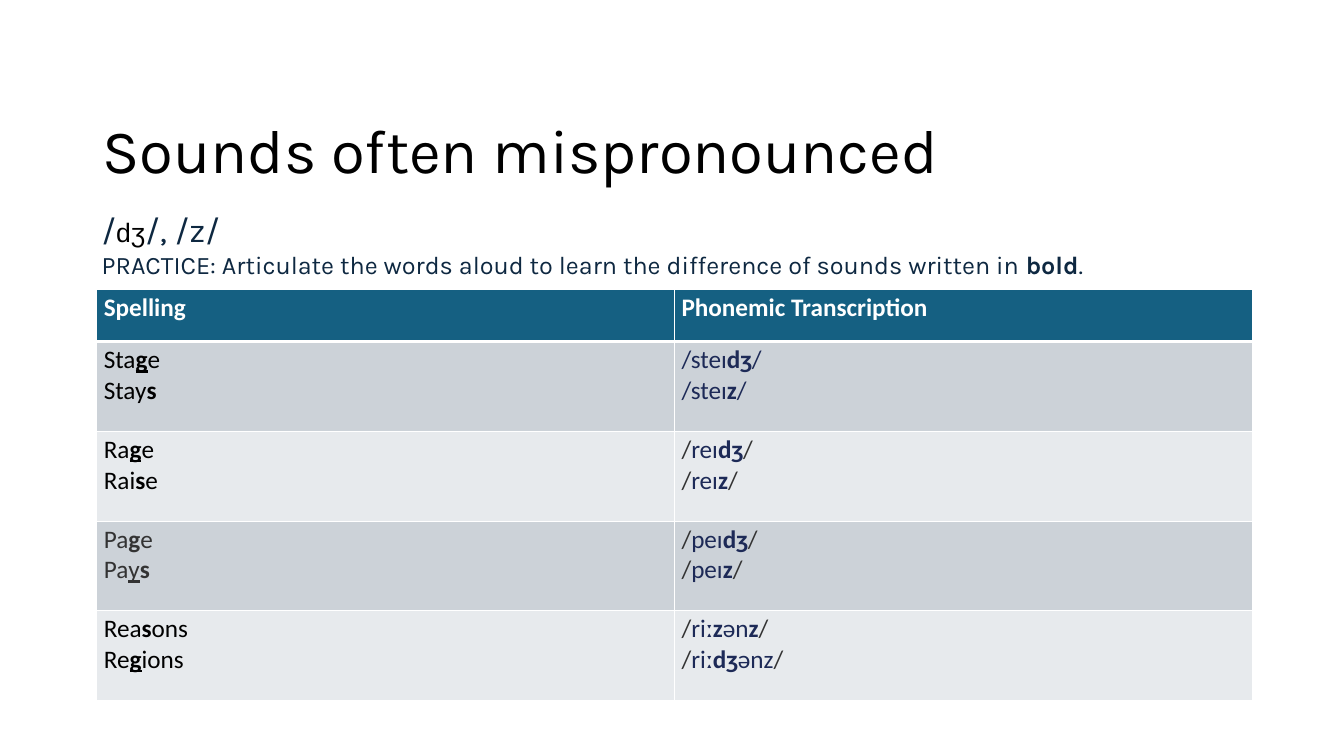
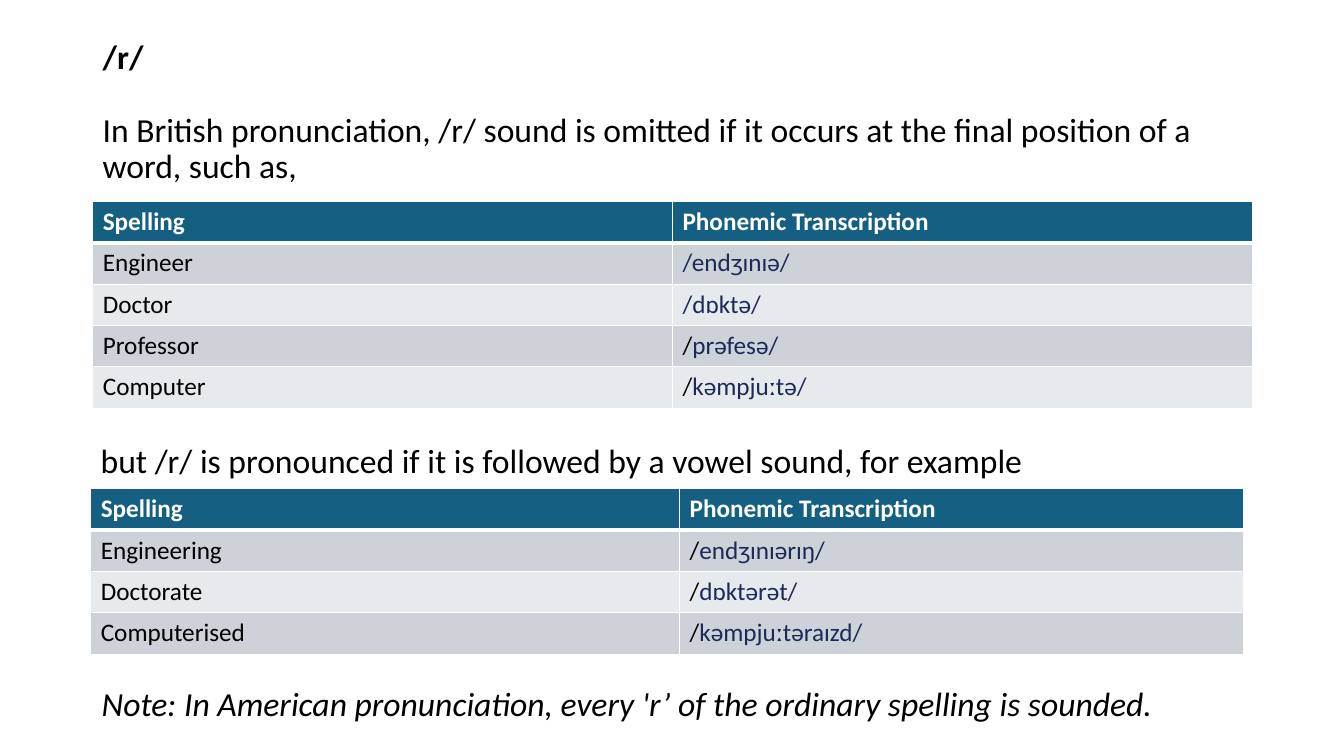
from dataclasses import dataclass, replace
from itertools import groupby

from lxml import etree
from pptx import Presentation
from pptx import util as u
from pptx.dml.color import RGBColor
from pptx.enum import text as t
from pptx.oxml.ns import qn


@dataclass(frozen=True)
class Ink:
    color: str
    size: int = 18
    font: str = "Calibri"


class Theme:
    white = "FFFFFF"
    head = "156082"
    bands = ("CCD2D8", "E7EAED")
    title = Ink("000000", 44, "Karla")
    lead = Ink("000000", 24)
    sound = Ink("0E2841", 24, "Karla")
    hint = replace(sound, size=18)
    phone = Ink("000000", 19, "Arial")
    label = Ink(white)
    word = Ink("000000")
    gray = Ink("333333")
    navy = Ink("1D2A57")


class Deck:
    def __init__(self):
        self.prs = Presentation()
        self.prs.slide_width = u.Inches(13.33)
        self.prs.slide_height = u.Inches(7.5)

    def page(self):
        self.slide = self.prs.slides.add_slide(self.prs.slide_layouts[6])

    def runs(self, para, text, ink, alt=None, italic=False):
        """Add runs; * toggles bold, _ underline, ~ the alternate ink."""
        on = {"*": False, "_": False, "~": False}
        for marks, group in groupby(text, lambda c: c in on):
            if marks:
                for mark in group:
                    on[mark] = not on[mark]
                continue
            run = para.add_run()
            run.text = "".join(group)
            look = alt if on["~"] else ink
            font = run.font
            font.name, font.size = look.font, u.Pt(look.size)
            font.color.rgb = RGBColor.from_string(look.color)
            font.bold, font.underline, font.italic = on["*"], on["_"], italic

    def text(self, box, lines, middle=False, spacing=1.0, gap=0):
        """Each line holds the arguments of runs; gap follows the first."""
        shape = self.slide.shapes.add_textbox(*map(u.Inches, box))
        frame = shape.text_frame
        frame.word_wrap = True
        if middle:
            frame.vertical_anchor = t.MSO_ANCHOR.MIDDLE
        for i, line in enumerate(lines):
            para = frame.add_paragraph() if i else frame.paragraphs[0]
            para.line_spacing = spacing
            para.space_after = u.Pt(0 if i else gap)
            self.runs(para, *line)

    def title(self, top, lines, gap=0):
        self.text((0.92, top, 11.5, 1.45), lines, True, 0.9, gap)

    def table(self, spot, cols, heights, rows, rules=(1, 3), pads=(0.1, 0.05)):
        """Rows hold pairs of (markup, ink); a header row is put on top."""
        head = [("*" + name, Theme.label)
                for name in ("Spelling", "Phonemic Transcription")]
        rows = [head] + rows
        size = sum(cols), heights[0] + heights[1] * (len(rows) - 1)
        grid = self.slide.shapes.add_table(
            len(rows), len(cols), *map(u.Inches, spot + size)).table
        for col, width in zip(grid.columns, cols):
            col.width = u.Inches(width)
        for r, row in enumerate(rows):
            grid.rows[r].height = u.Inches(heights[min(r, 1)])
            color = Theme.bands[(r - 1) % 2] if r else Theme.head
            for c, (markup, ink) in enumerate(row):
                cell = grid.cell(r, c)
                self.cell(cell, markup, ink, pads)
                self.edges(cell, r, rules)
                cell.fill.solid()
                cell.fill.fore_color.rgb = RGBColor.from_string(color)

    def cell(self, cell, markup, ink, pads):
        cell.margin_left = cell.margin_right = u.Inches(pads[0])
        cell.margin_top = cell.margin_bottom = u.Inches(pads[1])
        frame = cell.text_frame
        for i, line in enumerate(markup.split("\n")):
            para = frame.add_paragraph() if i else frame.paragraphs[0]
            self.runs(para, line, ink, Theme.navy)

    def edges(self, cell, row, rules):
        """Draw thin borders, with a thick one below the header row."""
        thin, thick = rules
        props = cell._tc.get_or_add_tcPr()
        for side in "LRTB":
            heavy = (row, side) in ((0, "B"), (1, "T"))
            width = u.Pt(thick if heavy else thin)
            line = etree.SubElement(props, qn("a:ln" + side), w=str(width))
            fill = etree.SubElement(line, qn("a:solidFill"))
            etree.SubElement(fill, qn("a:srgbClr"), val=Theme.white)


def sounds(deck):
    th = Theme
    deck.page()
    deck.title(0.8, [("Sounds often mispronounced", th.title)])
    deck.table((0.96, 2.87), (5.73, 5.73), (0.52, 0.89), [
        [("Sta*_g_*e\nStay*s*", th.word),
         ("/steɪ*dʒ*/\n/steɪ*z*/", th.navy)],
        [("Ra*_g_*e\nRai*s*e", th.word),
         ("/~reɪ*dʒ*~/\n/~reɪ*z*~/", th.gray)],
        [("Pa*g*e\nPa_y_*s*", th.gray),
         ("/~peɪ*dʒ*~/\n/~peɪ*z*~/", th.gray)],
        [("Rea*s*ons\nRe*_g_*ions", th.word),
         ("/~riː*z*ən*z*~/\n/~riː*dʒ*ənz~/", th.gray)],
    ], rules=(0.75, 2), pads=(0.07, 0.03))
    deck.text((0.91, 2.02, 11.51, 0.83), [
        ("/~dʒ~/, /z/", th.sound, th.phone),
        ("PRACTICE: Articulate the words aloud to learn the difference "
         "of sounds written in *bold*.", th.hint),
    ])


def final(deck):
    """Slide on the sound /r/ at the end of a word."""
    th = Theme

    def pairs(*rows):
        return [[(word, th.word), (sound, th.word)] for word, sound in rows]

    deck.page()
    deck.title(0.4, [
        ("*/r/*", th.lead),
        ("In British pronunciation, /r/ sound is omitted if it occurs at "
         "the final position of a word, such as,", th.lead),
    ], gap=26)
    deck.table((0.92, 2), (5.75, 5.75), (0.41, 0.41), pairs(
        ("Engineer", "~/endʒɪnɪə/"),
        ("Doctor", "~/dɒktə/"),
        ("Professor", "/~prəfesə/"),
        ("Computer", "/~kəmpjuːtə/")))
    deck.text((0.9, 4.32, 11.12, 0.5), [
        ("but /r/ is pronounced if it is followed by a vowel sound, "
         "for example", th.lead)])
    deck.table((0.9, 4.85), (5.84, 5.59), (0.41, 0.41), pairs(
        ("Engineering", "/~endʒɪnɪərɪŋ/"),
        ("Doctorate", "/~dɒktərət/"),
        ("Computerised", "/~kəmpjuːtəraɪzd/")))
    deck.text((0.91, 6.73, 11.42, 0.5), [
        ("Note: In American pronunciation, every 'r’ of the ordinary "
         "spelling is sounded.", th.lead, None, True)])


def main():
    deck = Deck()
    sounds(deck)
    final(deck)
    deck.prs.save("out.pptx")


if __name__ == "__main__":
    main()
